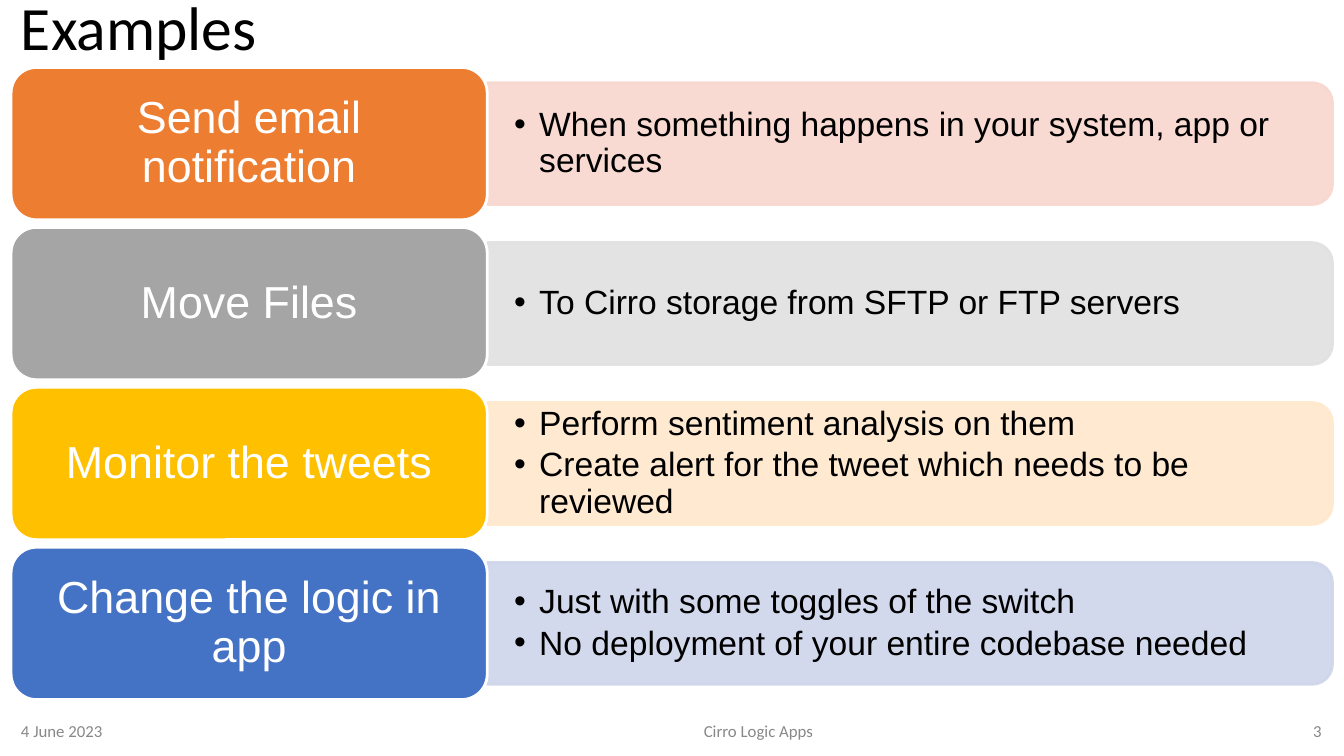
from lxml.etree import SubElement
from pptx import Presentation
from pptx.dml.color import RGBColor
from pptx.enum.shapes import MSO_SHAPE as Preset
from pptx.enum.text import MSO_ANCHOR as Anchor, PP_ALIGN as Align
from pptx.oxml.ns import qn
from pptx.util import Cm, Pt

EXAMPLES = [
    ("Send email notification", "ED7D31", "F8D7CE",
     ["When something happens in your system, app or services"]),
    ("Move Files", "A5A5A5", "E1E1E1",
     ["To Cirro storage from SFTP or FTP servers"]),
    ("Monitor the tweets", "FFC000", "FFE8CC",
     ["Perform sentiment analysis on them",
      "Create alert for the tweet which needs to be reviewed"]),
    ("Change the logic in app", "4472C4", "CFD5EA",
     ["Just with some toggles of the switch",
      "No deployment of your entire codebase needed"]),
]
TITLE = ("Examples", (0.28, 0.08, 33.3, 1.4))
FOOTERS = [
    ("4 June 2023", (0.28, 17.91, 6.91, 1.02), Align.LEFT),
    ("Cirro Logic Apps", (7.7, 17.91, 22.83, 1.02), Align.CENTER),
    ("3", (31.78, 17.91, 1.78, 1.02), Align.RIGHT),
]

TITLE_FONT = {"name": "Calibri", "size": Pt(44), "color": "000000"}
LABEL_FONT = {"name": "Arial", "size": Pt(32), "color": "FFFFFF"}
DETAIL_FONT = {"name": "Arial", "size": Pt(24), "color": "000000"}
FOOTER_FONT = {"name": "Calibri", "size": Pt(12), "color": "888888"}
TIGHT = {"line_spacing": 0.9}
LABEL_FORMAT = {"alignment": Align.CENTER, "line_spacing": 0.9}
DETAIL_FORMAT = {"line_spacing": 0.9, "space_after": Pt(3.6)}

LEFT, TOP, PITCH = 0.28, 1.7, 4.03
LABEL_WIDTH, LABEL_HEIGHT = 12, 3.84
PANEL_WIDTH, PANEL_HEIGHT = 21.3, 3.07
DETAIL_WIDTH, DETAIL_HEIGHT = 21.16, 2.77


def colour(hex_value):
    return RGBColor.from_string(hex_value)


def write(shape, lines, font, paragraph_format, insets=(0.25, 0.13)):
    frame = shape.text_frame
    across, down = map(Cm, insets)
    settings = {"word_wrap": True, "vertical_anchor": Anchor.MIDDLE,
                "margin_left": across, "margin_right": across,
                "margin_top": down, "margin_bottom": down}
    for key, value in settings.items():
        setattr(frame, key, value)
    for index, line in enumerate(lines):
        paragraph = frame.add_paragraph() if index else frame.paragraphs[0]
        for key, value in paragraph_format.items():
            setattr(paragraph, key, value)
        run = paragraph.add_run()
        run.text = line
        run.font.name, run.font.size = font["name"], font["size"]
        run.font.color.rgb = colour(font["color"])
    return frame


def add_text(slide, box, lines, font, paragraph_format, insets=(0.25, 0.13)):
    shape = slide.shapes.add_textbox(*map(Cm, box))
    return write(shape, lines, font, paragraph_format, insets)


def add_block(slide, preset, box, fill, line):
    shape = slide.shapes.add_shape(preset, *map(Cm, box))
    shape.shadow.inherit = False
    shape.fill.solid()
    shape.fill.fore_color.rgb = colour(fill)
    shape.line.color.rgb = colour(line)
    shape.line.width = Pt(2)
    return shape


def add_bullets(frame):
    for paragraph in frame.paragraphs:
        properties = paragraph._p.get_or_add_pPr()
        properties.set("marL", str(Cm(0.63)))
        properties.set("indent", str(-Cm(0.63)))
        SubElement(properties, qn("a:buFont"), typeface="Arial")
        SubElement(properties, qn("a:buChar"), char="•")


def add_example(slide, top, name, strong, pale, details):
    middle = top + LABEL_HEIGHT / 2
    panel_left = LEFT + LABEL_WIDTH
    centre = panel_left + PANEL_WIDTH / 2
    panel = add_block(slide, Preset.ROUND_2_SAME_RECTANGLE,
                      (centre - PANEL_HEIGHT / 2, middle - PANEL_WIDTH / 2,
                       PANEL_HEIGHT, PANEL_WIDTH), pale, pale)
    panel.rotation = 90
    for tint in panel._element.spPr.iter(qn("a:srgbClr")):
        SubElement(tint, qn("a:alpha"), val="90000")
    detail_box = (panel_left, middle - DETAIL_HEIGHT / 2, DETAIL_WIDTH, DETAIL_HEIGHT)
    add_bullets(add_text(slide, detail_box, details, DETAIL_FONT, DETAIL_FORMAT, (0.68, 0.36)))
    label = add_block(slide, Preset.ROUNDED_RECTANGLE,
                      (LEFT, top, LABEL_WIDTH, LABEL_HEIGHT), strong, "FFFFFF")
    write(label, [name], LABEL_FONT, LABEL_FORMAT, (0.52, 0.37))


def main():
    presentation = Presentation()
    presentation.slide_width, presentation.slide_height = Cm(33.87), Cm(19.05)
    slide = presentation.slides.add_slide(presentation.slide_layouts[6])
    title, title_box = TITLE
    add_text(slide, title_box, [title], TITLE_FONT, TIGHT)
    for row, example in enumerate(EXAMPLES):
        add_example(slide, TOP + row * PITCH, *example)
    for text, box, alignment in FOOTERS:
        add_text(slide, box, [text], FOOTER_FONT, {"alignment": alignment})
    presentation.save("out.pptx")


if __name__ == "__main__":
    main()
